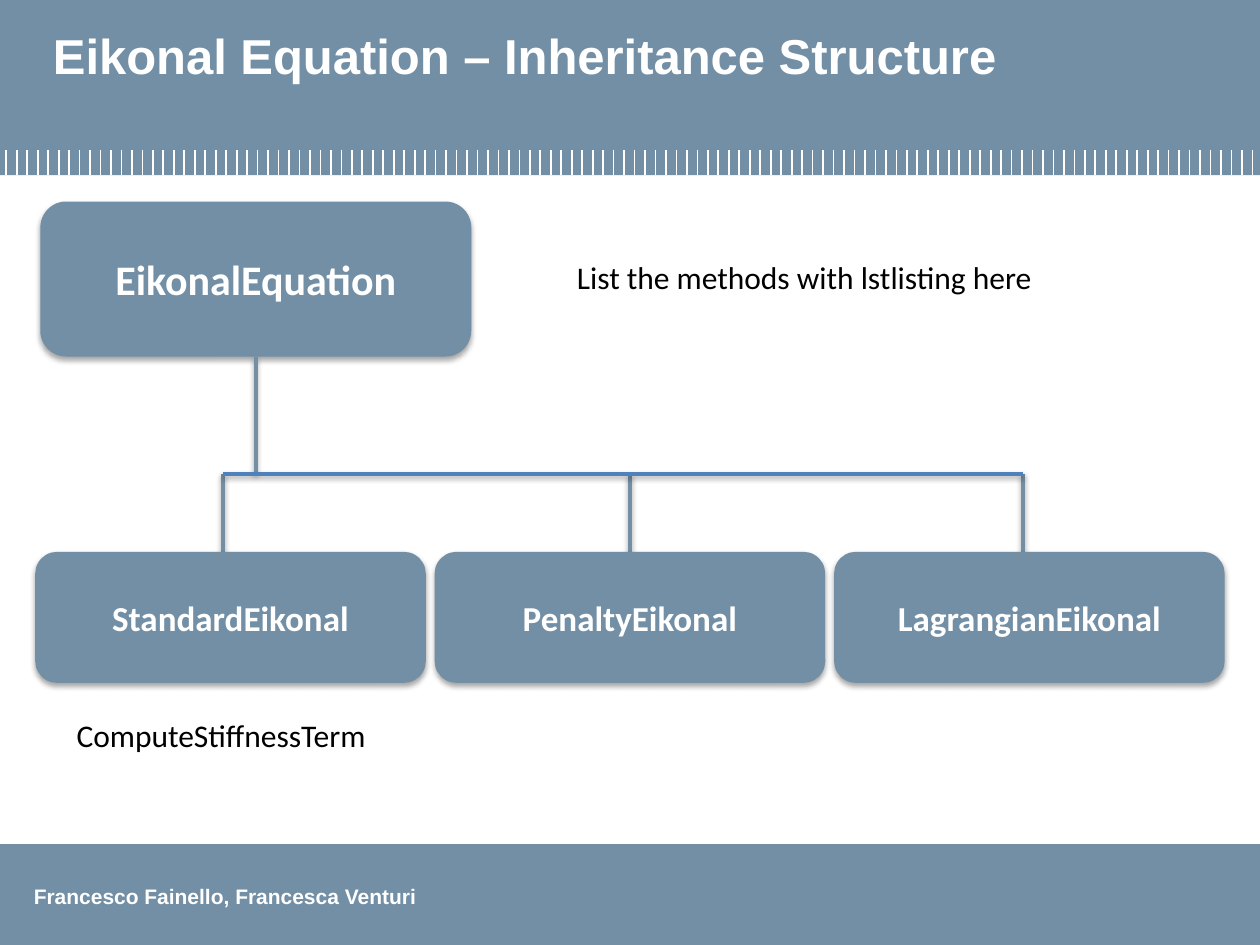
from dataclasses import dataclass

from lxml.etree import SubElement
from pptx import Presentation
from pptx.dml.color import RGBColor
from pptx.enum.shapes import MSO_CONNECTOR, MSO_SHAPE
from pptx.enum.text import MSO_ANCHOR, MSO_AUTO_SIZE, PP_ALIGN
from pptx.oxml.ns import qn
from pptx.util import Inches, Pt

WIDTH, HEIGHT = 10, 7.5
COLORS = {"slate": "728FA5", "blue": "4F81BD", "white": "FFFFFF", "black": "000000"}

HEADER_HEIGHT = 1.39
FOOTER_HEIGHT = 0.8
TICK_TOP = 1.19
TICK_COUNT = 120
TICK_FIRST, TICK_LAST = 0.05, 9.94

CHILD_LEFT, CHILD_PITCH = 0.28, 3.17
CHILD_TOP, CHILD_WIDTH, CHILD_HEIGHT = 4.38, 3.1, 1.04
BUS_TOP = 3.76
DROP_BOTTOM = 4.75


@dataclass
class ClassBox:
    name: str
    left: float
    top: float
    width: float
    height: float
    size: int


@dataclass
class Label:
    text: str
    left: float
    top: float
    width: float
    height: float
    size: int
    font: str = "Calibri"
    color: str = "black"
    bold: bool = False
    wrap: bool = True


@dataclass
class Line:
    start: tuple[float, float]
    end: tuple[float, float]
    color: str = "slate"
    width: float = 2
    shadow: bool = True


PARENT = ClassBox("EikonalEquation", 0.32, 1.6, 3.42, 1.23, 24)
CHILDREN = [
    ClassBox(name, CHILD_LEFT + column * CHILD_PITCH, CHILD_TOP, CHILD_WIDTH, CHILD_HEIGHT, 20)
    for column, name in enumerate(["StandardEikonal", "PenaltyEikonal", "LagrangianEikonal"])
]
DROP_POSITIONS = [1.77, 5, 8.12]
LABELS = [
    Label("List the methods with lstlisting here", 4.48, 2, 4.29, 0.4, 18),
    Label("ComputeStiffnessTerm", 0.51, 5.63, 2.64, 0.4, 18),
]
AUTHORS = Label("Francesco Fainello, Francesca Venturi", 0.17, 6.96, 3.27, 0.3, 12,
                "Arial", "white", bold=True, wrap=False)


def rgb(name: str) -> RGBColor:
    return RGBColor.from_string(COLORS[name])


def set_shadow(shape, distance: float = 0, opacity: int = 0) -> None:
    properties = shape.element.spPr
    effects = properties.find(qn("a:effectLst"))
    if effects is None:
        effects = SubElement(properties, qn("a:effectLst"))
    if opacity:
        shadow = SubElement(effects, qn("a:outerShdw"), blurRad=str(Pt(3.1)),
                            dist=str(Pt(distance)), dir="5400000", rotWithShape="0")
        color = SubElement(shadow, qn("a:srgbClr"), val=COLORS["black"])
        SubElement(color, qn("a:alpha"), val=str(opacity * 1000))


def format_text(text_frame, text: str, size: int, font: str, color: str, bold: bool,
                alignment: PP_ALIGN = PP_ALIGN.LEFT) -> None:
    text_frame.text = text
    paragraph = text_frame.paragraphs[0]
    paragraph.alignment = alignment
    run_font = paragraph.runs[0].font
    run_font.name, run_font.size, run_font.bold = font, Pt(size), bold
    run_font.color.rgb = rgb(color)


def add_block(slide, kind: MSO_SHAPE, left: float, top: float, width: float, height: float):
    shape = slide.shapes.add_shape(kind, Inches(left), Inches(top), Inches(width), Inches(height))
    shape.shadow.inherit = False
    shape.fill.solid()
    shape.fill.fore_color.rgb = rgb("slate")
    shape.line.fill.background()
    return shape


def add_class_box(slide, box: ClassBox):
    shape = add_block(slide, MSO_SHAPE.ROUNDED_RECTANGLE, box.left, box.top, box.width, box.height)
    set_shadow(shape, distance=1.8, opacity=35)
    shape.text_frame.vertical_anchor = MSO_ANCHOR.MIDDLE
    format_text(shape.text_frame, box.name, box.size, "Calibri", "white", True, PP_ALIGN.CENTER)
    return shape


def add_line(slide, line: Line):
    points = [Inches(value) for value in (*line.start, *line.end)]
    connector = slide.shapes.add_connector(MSO_CONNECTOR.STRAIGHT, *points)
    connector.line.color.rgb = rgb(line.color)
    connector.line.width = Pt(line.width)
    set_shadow(connector, distance=1.6, opacity=38 if line.shadow else 0)
    return connector


def add_label(slide, label: Label) -> None:
    shape = slide.shapes.add_textbox(Inches(label.left), Inches(label.top),
                                     Inches(label.width), Inches(label.height))
    shape.text_frame.word_wrap = label.wrap
    shape.text_frame.auto_size = MSO_AUTO_SIZE.SHAPE_TO_FIT_TEXT
    format_text(shape.text_frame, label.text, label.size, label.font, label.color, label.bold)


def add_frame(slide) -> None:
    add_block(slide, MSO_SHAPE.RECTANGLE, 0, 0, WIDTH, HEADER_HEIGHT)
    add_block(slide, MSO_SHAPE.RECTANGLE, 0, HEIGHT - FOOTER_HEIGHT, WIDTH, FOOTER_HEIGHT)
    add_label(slide, AUTHORS)
    pitch = (TICK_LAST - TICK_FIRST) / (TICK_COUNT - 1)
    for index in range(TICK_COUNT):
        position = TICK_FIRST + index * pitch
        add_line(slide, Line((position, TICK_TOP), (position, HEADER_HEIGHT), "white", 1, False))


def place_title(slide) -> None:
    title = slide.shapes.title
    title.left, title.top, title.width, title.height = map(Inches, (0.32, 0.15, 9.38, 0.92))
    title.text_frame.vertical_anchor = MSO_ANCHOR.TOP
    title.text_frame.auto_size = MSO_AUTO_SIZE.NONE
    format_text(title.text_frame, "Eikonal Equation – Inheritance Structure",
                28, "Arial", "white", True)
    title.element.getparent().append(title.element)


def add_hierarchy(slide) -> None:
    parent = add_class_box(slide, PARENT)
    center = PARENT.left + PARENT.width / 2
    stem = add_line(slide, Line((center, PARENT.top + PARENT.height), (center, BUS_TOP)))
    stem.begin_connect(parent, 2)
    for position in DROP_POSITIONS:
        add_line(slide, Line((position, BUS_TOP), (position, DROP_BOTTOM)))
    for child in CHILDREN:
        add_class_box(slide, child)
    add_line(slide, Line((DROP_POSITIONS[0], BUS_TOP), (DROP_POSITIONS[-1], BUS_TOP), "blue"))


def main() -> None:
    presentation = Presentation()
    presentation.slide_width, presentation.slide_height = Inches(WIDTH), Inches(HEIGHT)
    slide = presentation.slides.add_slide(presentation.slide_layouts[5])
    add_frame(slide)
    place_title(slide)
    add_hierarchy(slide)
    for label in LABELS:
        add_label(slide, label)
    presentation.save("out.pptx")


if __name__ == "__main__":
    main()
